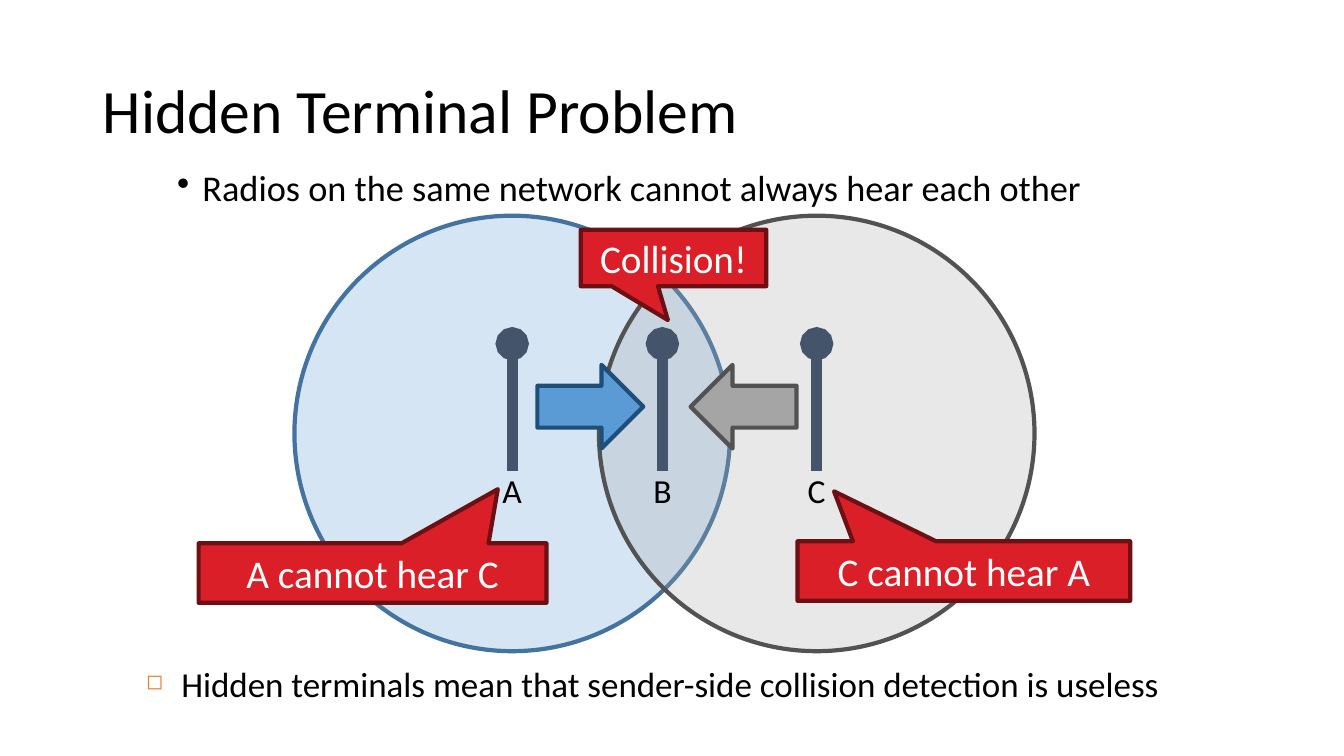
from lxml.etree import SubElement
from pptx import Presentation
from pptx.dml.color import RGBColor
from pptx.enum.shapes import MSO_CONNECTOR, MSO_SHAPE
from pptx.enum.text import MSO_ANCHOR, PP_ALIGN
from pptx.oxml.ns import qn
from pptx.util import Pt

PX = 9144
BLACK = RGBColor(0x00, 0x00, 0x00)
WHITE = RGBColor(0xFF, 0xFF, 0xFF)
BLUE = RGBColor(0x5B, 0x9B, 0xD5)
BLUE_EDGE = RGBColor(0x43, 0x73, 0x9E)
NAVY = RGBColor(0x1F, 0x4E, 0x79)
GRAY = RGBColor(0xA5, 0xA5, 0xA5)
GRAY_EDGE = RGBColor(0x52, 0x52, 0x52)
SLATE = RGBColor(0x44, 0x54, 0x6A)
RED = RGBColor(0xDA, 0x1F, 0x28)
MAROON = RGBColor(0x6D, 0x10, 0x14)
ORANGE = RGBColor(0xED, 0x7D, 0x31)


def write(frame, text, size, color=BLACK, align=PP_ALIGN.LEFT, anchor=MSO_ANCHOR.TOP,
          wrap=True, spacing=None, bullet=None, indent=0, bullet_color=None, bullet_size=None):
    frame.word_wrap = wrap
    frame.vertical_anchor = anchor
    paragraph = frame.paragraphs[0]
    paragraph.text = text
    paragraph.alignment = align
    if bullet:
        props = paragraph._p.get_or_add_pPr()
        props.set("marL", str(indent * PX))
        props.set("indent", str(-indent * PX))
        if bullet_color is not None:
            tint = SubElement(props, qn("a:buClr"))
            SubElement(tint, qn("a:srgbClr")).set("val", str(bullet_color))
        if bullet_size:
            SubElement(props, qn("a:buSzPct")).set("val", str(bullet_size * 1000))
        SubElement(props, qn("a:buChar")).set("char", bullet)
    if spacing:
        paragraph.line_spacing = spacing
    font = paragraph.runs[0].font
    font.name = "Calibri"
    font.size = Pt(size)
    font.color.rgb = color


class Canvas:
    def __init__(self, slide):
        self.shapes = slide.shapes

    def text(self, left, top, width, height, text, size, **style):
        box = self.shapes.add_textbox(left * PX, top * PX, width * PX, height * PX)
        write(box.text_frame, text, size, **style)

    def shape(self, kind, left, top, width, height, fill, edge, opacity=None):
        shape = self.shapes.add_shape(kind, left * PX, top * PX, width * PX, height * PX)
        shape.shadow.inherit = False
        shape.fill.solid()
        shape.fill.fore_color.rgb = fill
        if opacity:
            tint = shape.element.spPr.find(qn("a:solidFill")).find(qn("a:srgbClr"))
            SubElement(tint, qn("a:alpha")).set("val", str(opacity * 1000))
        shape.line.color.rgb = edge
        shape.line.width = Pt(3)
        return shape

    def callout(self, left, top, width, height, tip, text):
        callout = self.shape(MSO_SHAPE.RECTANGULAR_CALLOUT, left, top, width, height, RED, MAROON)
        for index, value in enumerate(tip):
            callout.adjustments[index] = value
        write(callout.text_frame, text, 28, color=WHITE, align=PP_ALIGN.CENTER,
              anchor=MSO_ANCHOR.MIDDLE)

    def radio(self, center, label):
        mast = self.shapes.add_connector(MSO_CONNECTOR.STRAIGHT, center * PX, 341 * PX,
                                         center * PX, 467 * PX)
        mast.line.color.rgb = SLATE
        mast.line.width = Pt(8)
        SubElement(mast.line._get_or_add_ln(), qn("a:headEnd")).set("type", "oval")
        SubElement(mast.element.spPr, qn("a:effectLst"))
        self.text(center - 20, 461, 40, 50, label, 24, align=PP_ALIGN.CENTER, wrap=False)


def main():
    deck = Presentation()
    deck.slide_width = 1333 * PX
    deck.slide_height = 750 * PX
    canvas = Canvas(deck.slides.add_slide(deck.slide_layouts[6]))

    canvas.text(92, 40, 1150, 145, "Hidden Terminal Problem", 44,
                anchor=MSO_ANCHOR.MIDDLE, spacing=0.9)
    for left, fill, edge in ((292, BLUE, BLUE_EDGE), (594, GRAY, GRAY_EDGE)):
        canvas.shape(MSO_SHAPE.OVAL, left, 214, 432, 432, fill, edge, opacity=25)
    for center, label in ((508, "A"), (657, "B"), (810, "C")):
        canvas.radio(center, label)
    for kind, left, fill, edge in ((MSO_SHAPE.RIGHT_ARROW, 533, BLUE, NAVY),
                                   (MSO_SHAPE.LEFT_ARROW, 685, GRAY, GRAY_EDGE)):
        canvas.shape(kind, left, 362, 105, 83, fill, edge)

    canvas.callout(576, 228, 184, 56, (-0.03, 1.1), "Collision!")
    canvas.callout(197, 539, 345, 59, (0.36, -1.41), "A cannot hear C")
    canvas.callout(791, 537, 330, 59, (-0.39, -1.34), "C cannot hear A")

    canvas.text(166, 164, 983, 66, "Radios on the same network cannot always hear each other",
                25.9, spacing=0.9, bullet="•", indent=25)
    canvas.text(135, 652, 1098, 66,
                "Hidden terminals mean that sender-side collision detection is useless",
                25, bullet="◻", indent=35, bullet_color=ORANGE, bullet_size=60)
    deck.save("out.pptx")


if __name__ == "__main__":
    main()
